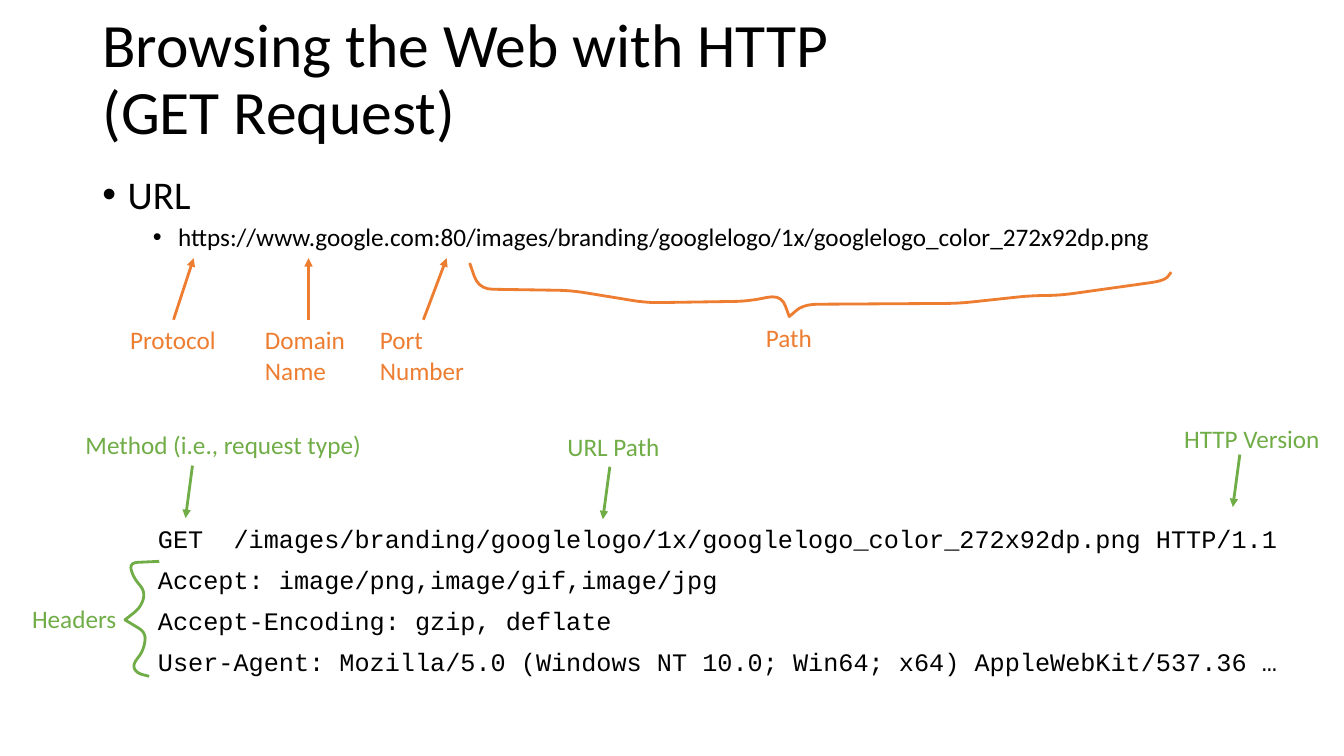
"""Build the slide on browsing the web with an HTTP GET request."""
from math import dist
from pptx import Presentation
from pptx.dml.color import RGBColor
from pptx.enum import shapes, text
from pptx.oxml import ns, xmlchemy
from pptx.util import Pt

BLACK = RGBColor(0x00, 0x00, 0x00)
ORANGE = RGBColor(0xED, 0x7D, 0x31)
GREEN = RGBColor(0x70, 0xAD, 0x47)
LINE_WIDTH = Pt(2)
ONE_LINE, TWO_LINES = 29, 51


def write(tf, lines, sizes=(18,), font="Calibri", color=BLACK, wrap=True,
          anchor=text.MSO_ANCHOR.TOP, spacing=None, before=0, bullets=()):
    tf.word_wrap = wrap
    tf.auto_size = text.MSO_AUTO_SIZE.NONE
    tf.vertical_anchor = anchor
    for i, line in enumerate(lines):
        p = tf.paragraphs[0] if i == 0 else tf.add_paragraph()
        p.text = line
        p.alignment = text.PP_ALIGN.LEFT
        p.line_spacing = spacing
        p.space_before = Pt(before if i else 0)
        if bullets:
            p.level = i
            pPr = p._p.get_or_add_pPr()
            pPr.set("marL", str(Pt(bullets[i])))
            pPr.set("indent", str(Pt(-18)))
            for tag, key, value in (("a:buFont", "typeface", "Arial"), ("a:buChar", "char", "•")):
                bu = xmlchemy.OxmlElement(tag)
                bu.set(key, value)
                pPr.append(bu)
        for r in p.runs:
            r.font.size = Pt(sizes[i % len(sizes)])
            r.font.name = font
            r.font.color.rgb = color


def round_corners(corners, radius, steps=5):
    points = [corners[0]]
    for before, corner, after in zip(corners, corners[1:], corners[2:]):
        ends = []
        for other in (before, after):
            share = min(radius / dist(corner, other), 0.5)
            ends.append([c + (o - c) * share for c, o in zip(corner, other)])
        for step in range(steps + 1):
            t = step / steps
            points.append(tuple((1 - t) ** 2 * a + 2 * t * (1 - t) * c + t ** 2 * b
                                for a, c, b in zip(ends[0], corner, ends[1])))
    return points + [corners[-1]]


prs = Presentation()
prs.slide_width, prs.slide_height = Pt(960), Pt(540)
s = prs.slides.add_slide(prs.slide_layouts[1])
title, body = s.placeholders
for sp, top, height in ((title, 5.75, 104.4), (body, 121.7, 72)):
    sp.left, sp.top, sp.width, sp.height = Pt(66), Pt(top), Pt(828), Pt(height)

write(title.text_frame, ["Browsing the Web with HTTP\v(GET Request)"], sizes=(44,),
      anchor=text.MSO_ANCHOR.MIDDLE, spacing=0.9)
write(body.text_frame,
      ["URL", "https://www.google.com:80/images/branding/googlelogo/1x/googlelogo_color_272x92dp.png"],
      sizes=(28, 18), spacing=0.9, before=5, bullets=(18, 54))

request = s.shapes.add_textbox(Pt(105.8), Pt(372.4), Pt(850), Pt(141))
write(request.text_frame, [
    "GET  /images/branding/googlelogo/1x/googlelogo_color_272x92dp.png HTTP/1.1",
    "Accept: image/png,image/gif,image/jpg",
    "Accept-Encoding: gzip, deflate",
    "User-Agent: Mozilla/5.0 (Windows NT 10.0; Win64; x64) AppleWebKit/537.36 …",
], font="Courier New", spacing=0.9, before=10)

labels = [
    ("Path", ORANGE, 540, 227, 76.3, ONE_LINE, True),
    ("Headers", GREEN, 15.8, 427.7, 75.6, ONE_LINE, False),
]
arrows = []

url_label_top, url_label_width, url_arrow_rise = 228.4, 76.3, 44
for label, left, height, wrap, lean in (
    ("Protocol", 85.8, ONE_LINE, False, 14.4),
    ("Domain Name", 182.2, TWO_LINES, True, 0),
    ("Port Number", 264.3, TWO_LINES, True, 16.6),
):
    labels.append((label, ORANGE, left, url_label_top, url_label_width, height, wrap))
    middle = left + url_label_width / 2
    arrows.append((ORANGE, middle, url_label_top, lean, -url_arrow_rise))

request_arrow_lean, request_arrow_drop = -5, 37.5
for label, left, top, width, arrow_x, arrow_y in (
    ("Method (i.e., request type)", 54, 303.3, 213.8, 137.5, 332.6),
    ("URL Path", 398.2, 304.6, 81.4, 435.6, 333.4),
    ("HTTP Version", 838.8, 298.8, 112.3, 885.6, 324.7),
):
    labels.append((label, GREEN, left, top, width, ONE_LINE, False))
    arrows.append((GREEN, arrow_x, arrow_y, request_arrow_lean, request_arrow_drop))

for label, color, left, top, width, height, wrap in labels:
    sp = s.shapes.add_textbox(Pt(left), Pt(top), Pt(width), Pt(height))
    write(sp.text_frame, [label], color=color, wrap=wrap)

for color, x, y, dx, dy in arrows:
    arrow = s.shapes.add_connector(shapes.MSO_CONNECTOR.STRAIGHT, Pt(x), Pt(y), Pt(x + dx), Pt(y + dy))
    arrow.line.color.rgb = color
    arrow.line.width = LINE_WIDTH
    tail = xmlchemy.OxmlElement("a:tailEnd")
    tail.set("type", "triangle")
    arrow._element.spPr.find(ns.qn("a:ln")).append(tail)
    arrow._element.spPr.append(xmlchemy.OxmlElement("a:effectLst"))

path_tip, headers_tip = (563.8, 226.1), (89.3, 442.8)
path_left_arm = [(335.5, 187.9), (342, 206.5), (408, 207.5), (462, 216.3), (534, 215.2), (558, 210.5), path_tip]
path_right_arm = [path_tip, (574, 217.4), (685, 216.7), (736, 211.2), (757, 211), (832, 200.5), (836.6, 194.4)]
headers_upper_arm = [(113.8, 401), (92.5, 402), (95, 412), (104, 423), (100.5, 434), headers_tip]
headers_lower_arm = [headers_tip, (104.5, 452), (102.5, 465), (94.5, 475), (98, 481), (106.6, 483.1)]

for color, radius, first_arm, second_arm in (
    (ORANGE, 10, path_left_arm, path_right_arm),
    (GREEN, 6, headers_upper_arm, headers_lower_arm),
):
    outline = round_corners(first_arm, radius) + round_corners(second_arm, radius)[1:]
    start, *rest = [(Pt(x), Pt(y)) for x, y in outline]
    builder = s.shapes.build_freeform(*start)
    builder.add_line_segments(rest, close=False)
    brace = builder.convert_to_shape()
    brace.shadow.inherit = False
    brace.fill.background()
    brace.line.color.rgb = color
    brace.line.width = LINE_WIDTH

prs.save("out.pptx")
